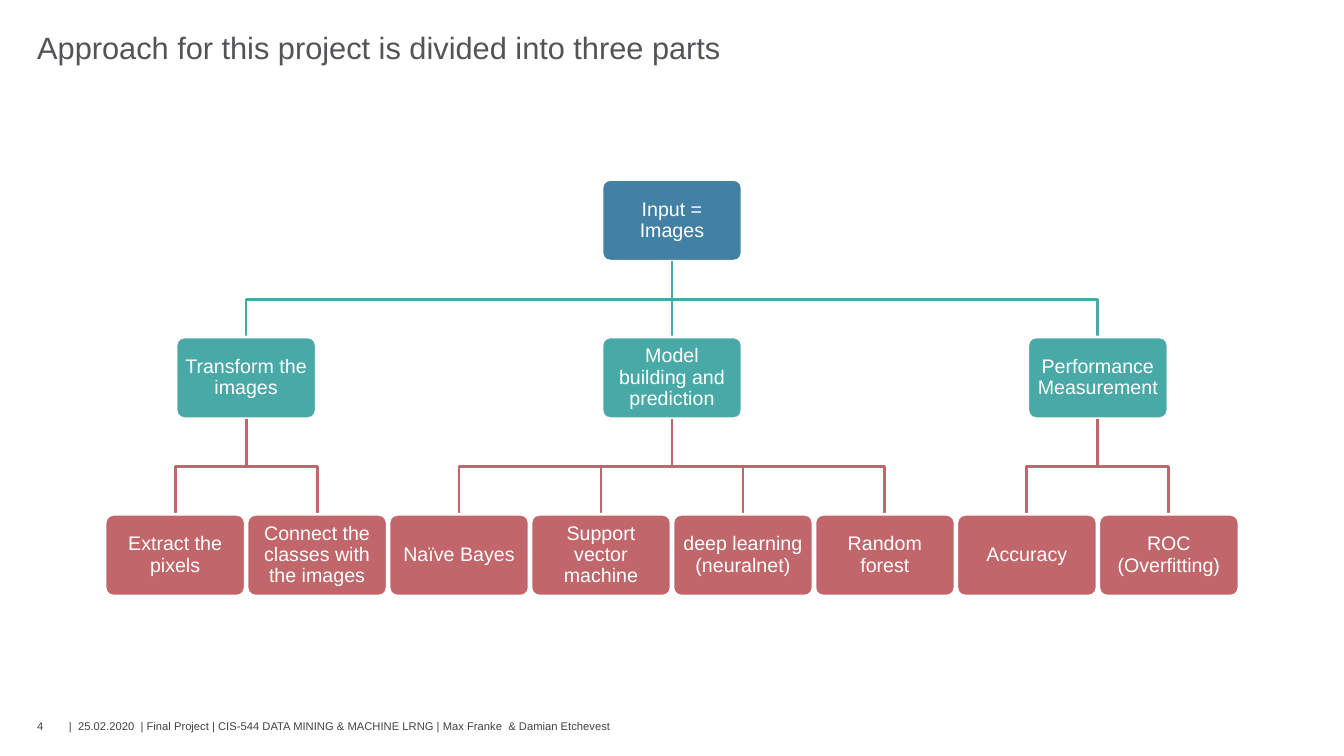
from lxml.etree import SubElement
from pptx import Presentation
from pptx.dml.color import RGBColor
from pptx.enum.shapes import MSO_CONNECTOR, MSO_SHAPE
from pptx.enum.text import MSO_ANCHOR, PP_ALIGN
from pptx.oxml.ns import qn
from pptx.util import Pt

BLUE, TEAL, RED = "4281A4", "48A9A6", "C1666B"
WHITE, GREY, DARK = "FFFFFF", "555358", "434343"
MID, STEP = 480, 101.4
WIDE, HIGH = 100.1, 58.4
TOPS = [128.2, 240.7, 367.4]
PARTS = [
    ("Transform the images",
     ["Extract the pixels", "Connect the classes with the images"]),
    ("Model building and prediction",
     ["Naïve Bayes", "Support vector machine",
      "deep learning (neuralnet)", "Random forest"]),
    ("Performance Measurement", ["Accuracy", "ROC (Overfitting)"]),
]


def color(code):
    return RGBColor.from_string(code)


class Chart:
    def __init__(self, slide, face="Arial", line=2):
        self.slide = slide
        self.face = face
        self.line = line

    def style(self, frame, text, size, tone, inset, anchor):
        frame.text = text
        frame.vertical_anchor = anchor
        frame.margin_left = frame.margin_right = Pt(inset)
        frame.margin_top = frame.margin_bottom = Pt(inset)
        para = frame.paragraphs[0]
        for run in para.runs:
            run.font.name = self.face
            run.font.size = Pt(size)
            run.font.color.rgb = color(tone)
        return para

    def label(self, text, left, top, width, height, size, tone,
              anchor=MSO_ANCHOR.TOP):
        box = self.slide.shapes.add_textbox(
            Pt(left), Pt(top), Pt(width), Pt(height))
        box.text_frame.word_wrap = True
        self.style(box.text_frame, text, size, tone, 0, anchor)

    def node(self, text, mid, top, fill):
        box = self.slide.shapes.add_shape(
            MSO_SHAPE.ROUNDED_RECTANGLE,
            Pt(mid - WIDE / 2), Pt(top), Pt(WIDE), Pt(HIGH))
        box.adjustments[0] = 0.1
        box.shadow.inherit = False
        box.fill.solid()
        box.fill.fore_color.rgb = color(fill)
        box.line.color.rgb = color(WHITE)
        box.line.width = Pt(self.line)
        box.text_frame.word_wrap = True
        para = self.style(box.text_frame, text, 14, WHITE, 4.4,
                          MSO_ANCHOR.MIDDLE)
        para.alignment = PP_ALIGN.CENTER
        para.line_spacing = 0.9

    def link(self, start, end, row, tone):
        top, base = TOPS[row] + HIGH, TOPS[row + 1]
        if abs(start - end) < 0.1:
            path = self.slide.shapes.add_connector(
                MSO_CONNECTOR.STRAIGHT,
                Pt(start), Pt(top), Pt(end), Pt(base))
            SubElement(path._element.spPr, qn("a:effectLst"))
        else:
            bend = (top + base) / 2
            form = self.slide.shapes.build_freeform(Pt(start), Pt(top))
            form.add_line_segments(
                [(Pt(start), Pt(bend)), (Pt(end), Pt(bend)),
                 (Pt(end), Pt(base))], close=False)
            path = form.convert_to_shape()
            path.fill.background()
            path.shadow.inherit = False
        path.line.color.rgb = color(tone)
        path.line.width = Pt(self.line)


def main():
    deck = Presentation()
    deck.slide_width, deck.slide_height = Pt(960), Pt(540)
    chart = Chart(deck.slides.add_slide(deck.slide_layouts[6]))

    chart.label("Approach for this project is divided into three parts",
                26.6, 20.2, 907, 26.6, 22, GREY)
    chart.label("4", 26.6, 514.8, 20, 8.6, 8, DARK, MSO_ANCHOR.BOTTOM)
    chart.label("|  25.02.2020  | Final Project | CIS-544 DATA MINING & "
                "MACHINE LRNG | Max Franke  & Damian Etchevest",
                49.3, 514.8, 820, 8.6, 8, DARK, MSO_ANCHOR.BOTTOM)

    count = sum(len(leaves) for _, leaves in PARTS)
    first = MID - (count - 1) / 2 * STEP
    chart.node("Input = Images", MID, TOPS[0], BLUE)
    for part, leaves in PARTS:
        hub = first + (len(leaves) - 1) / 2 * STEP
        chart.link(MID, hub, 0, TEAL)
        chart.node(part, hub, TOPS[1], TEAL)
        for pos, leaf in enumerate(leaves):
            spot = first + pos * STEP
            chart.link(hub, spot, 1, RED)
            chart.node(leaf, spot, TOPS[2], RED)
        first += len(leaves) * STEP

    deck.save("out.pptx")


if __name__ == "__main__":
    main()
